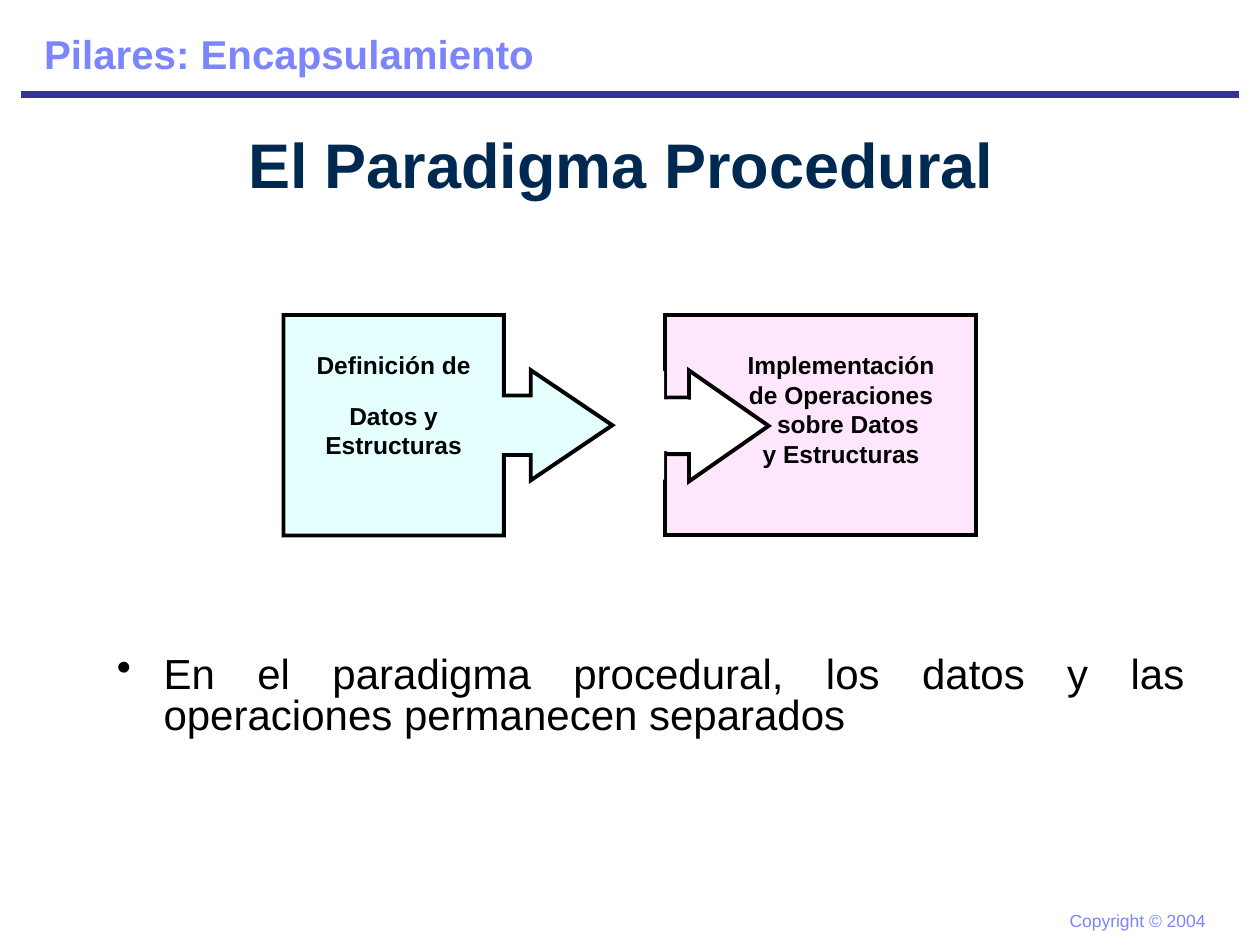
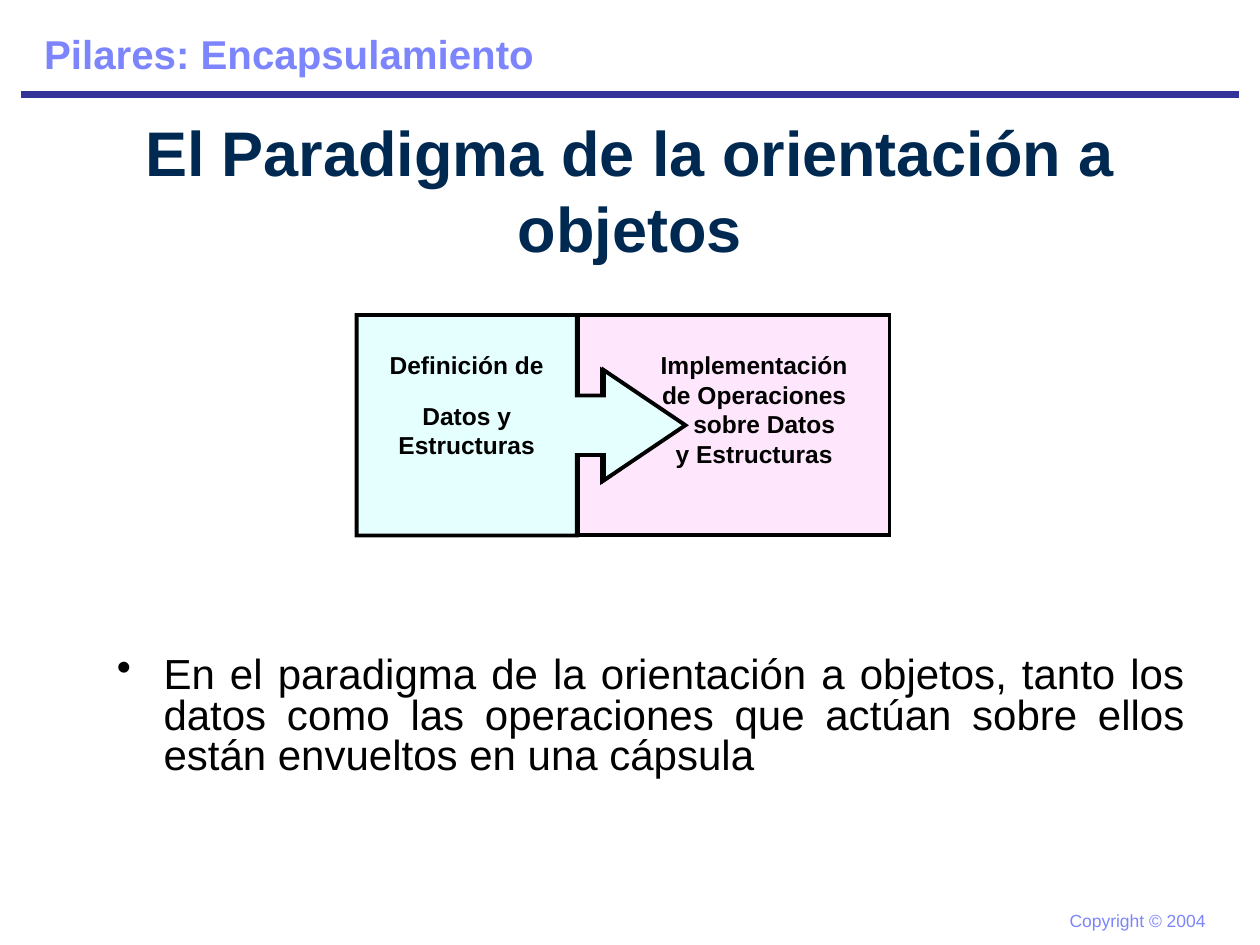
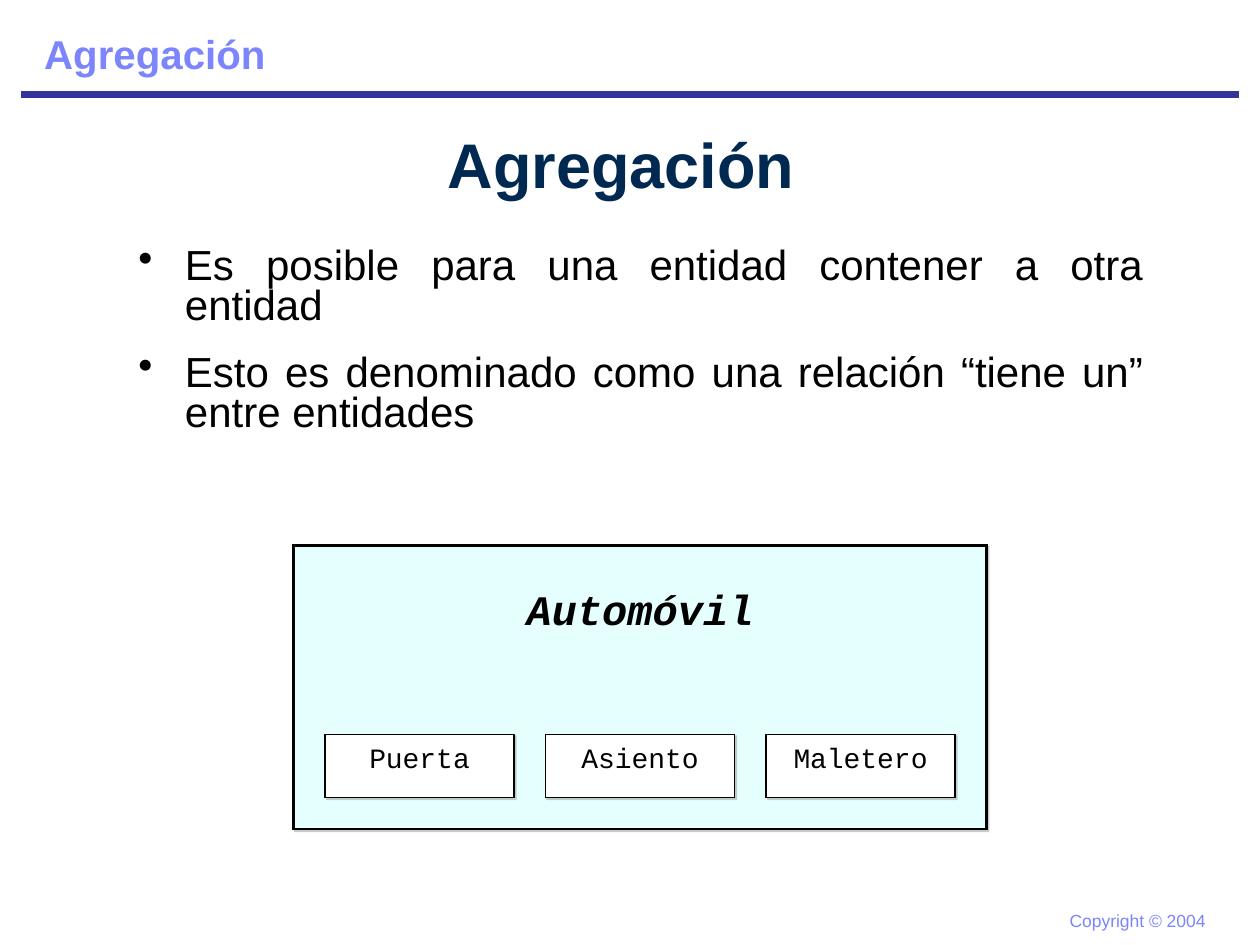
"""Build three slides about encapsulation and aggregation."""
from dataclasses import dataclass

from lxml.etree import SubElement
from pptx import Presentation
from pptx.dml.color import RGBColor
from pptx.enum.shapes import MSO_CONNECTOR, MSO_SHAPE
from pptx.enum.text import MSO_ANCHOR, MSO_AUTO_SIZE, PP_ALIGN
from pptx.oxml.ns import qn
from pptx.presentation import Presentation as Deck
from pptx.shapes.autoshape import Shape
from pptx.slide import Slide
from pptx.util import Inches, Pt

PERIWINKLE = RGBColor(0x7C, 0x85, 0xFC)
INDIGO = RGBColor(0x33, 0x33, 0x99)
NAVY = RGBColor(0x00, 0x29, 0x52)
BLACK = RGBColor(0x00, 0x00, 0x00)
WHITE = RGBColor(0xFF, 0xFF, 0xFF)
CYAN = RGBColor(0xE5, 0xFF, 0xFF)
PINK = RGBColor(0xFE, 0xE6, 0xFD)
SHADOW_GRAY = "969696"
TITLE_ONLY = 5


@dataclass(frozen=True)
class Box:
    """Position and size in inches."""
    left: float
    top: float
    width: float
    height: float


@dataclass(frozen=True)
class TextStyle:
    """Font settings and alignment of a text."""
    size: float
    color: RGBColor = BLACK
    name: str = "Arial"
    bold: bool = False
    italic: bool = False
    alignment: PP_ALIGN = PP_ALIGN.CENTER


@dataclass(frozen=True)
class Look:
    """Geometry, fill and outline of a shape."""
    kind: MSO_SHAPE
    fill: RGBColor
    line_width: float = 2.25
    adjustments: tuple[float, ...] = ()
    rotation: float = 0


@dataclass(frozen=True)
class Paradigm:
    """Content and placement of one paradigm slide."""
    heading: str
    heading_height: float
    heading_right_inset: float
    data_left: float
    operations_left: float
    socket_line: float
    third_line_indent: float
    statement: str


TITLE_STYLE = TextStyle(23, PERIWINKLE, bold=True, alignment=PP_ALIGN.LEFT)
HEADING_STYLE = TextStyle(36, NAVY, bold=True)
FOOTER_STYLE = TextStyle(10, PERIWINKLE, alignment=PP_ALIGN.LEFT)
BULLET_STYLE = TextStyle(24, alignment=PP_ALIGN.JUSTIFY)
LABEL_STYLE = TextStyle(14, bold=True)
WHOLE_STYLE = TextStyle(24, name="Courier New", bold=True, italic=True)
PART_STYLE = TextStyle(16, name="Courier New")

PARADIGMS = (
    Paradigm("El Paradigma Procedural", 0.75, 0.24, 2.25, 5.28, 0, 0.11,
             "En el paradigma procedural, los datos y las operaciones permanecen separados"),
    Paradigm("El Paradigma de la orientación a objetos", 1.17, 0.1, 2.83, 4.59, 2.25, 0.16,
             "En el paradigma de la orientación a objetos, tanto los datos como las operaciones "
             "que actúan sobre ellos están envueltos en una cápsula"),
)


def place(box: Box) -> tuple[Inches, Inches, Inches, Inches]:
    """Convert a box to lengths."""
    return Inches(box.left), Inches(box.top), Inches(box.width), Inches(box.height)


def write(shape: Shape, lines: list[str], style: TextStyle,
          anchor: MSO_ANCHOR = MSO_ANCHOR.TOP) -> None:
    """Fill a shape with formatted paragraphs."""
    frame = shape.text_frame
    frame.text = "\n".join(lines)
    frame.word_wrap = True
    frame.auto_size = MSO_AUTO_SIZE.NONE
    frame.vertical_anchor = anchor
    for paragraph in frame.paragraphs:
        paragraph.alignment = style.alignment
        for run in paragraph.runs:
            run.font.name = style.name
            run.font.size = Pt(style.size)
            run.font.bold = style.bold
            run.font.italic = style.italic
            run.font.color.rgb = style.color


def add_text(slide: Slide, box: Box, lines: list[str], style: TextStyle,
             anchor: MSO_ANCHOR = MSO_ANCHOR.TOP) -> Shape:
    """Add a text box."""
    shape = slide.shapes.add_textbox(*place(box))
    write(shape, lines, style, anchor)
    return shape


def add_bullets(slide: Slide, box: Box, lines: list[str]) -> None:
    """Add a justified bulleted list."""
    shape = add_text(slide, box, lines, BULLET_STYLE)
    for index, paragraph in enumerate(shape.text_frame.paragraphs):
        properties = paragraph._p.get_or_add_pPr()
        properties.set("marL", str(Inches(0.37)))
        properties.set("indent", str(Inches(-0.37)))
        color = SubElement(properties, qn("a:buClr"))
        SubElement(color, qn("a:srgbClr"), val=str(BLACK))
        SubElement(properties, qn("a:buChar"), char="•")
        paragraph.line_spacing = 0.8
        if index:
            paragraph.space_before = Pt(15)


def add_figure(slide: Slide, box: Box, look: Look) -> Shape:
    """Add a filled preset shape with a sharp black outline."""
    shape = slide.shapes.add_shape(look.kind, *place(box))
    shape.shadow.inherit = False
    shape.rotation = look.rotation
    for index, value in enumerate(look.adjustments):
        shape.adjustments[index] = value
    shape.fill.solid()
    shape.fill.fore_color.rgb = look.fill
    if look.line_width:
        shape.line.color.rgb = BLACK
        shape.line.width = Pt(look.line_width)
        outline = shape._element.spPr.find(qn("a:ln"))
        SubElement(outline, qn("a:miter"), lim="800000")
    else:
        shape.line.fill.background()
    return shape


def add_shadow(shape: Shape) -> None:
    """Cast a small translucent shadow to the lower right."""
    effects = shape._element.spPr.find(qn("a:effectLst"))
    shadow = SubElement(effects, qn("a:outerShdw"), blurRad="0", dist=str(Pt(1.4)),
                        dir="2700000", algn="ctr")
    color = SubElement(shadow, qn("a:srgbClr"), val=SHADOW_GRAY)
    SubElement(color, qn("a:alpha"), val="50000")


def add_base_slide(presentation: Deck, title: str) -> Slide:
    """Add a slide with its title, rule and copyright line."""
    slide = presentation.slides.add_slide(presentation.slide_layouts[TITLE_ONLY])
    placeholder = slide.shapes.title
    placeholder.left, placeholder.top, placeholder.width, placeholder.height = place(
        Box(0.25, 0.17, 9.5, 0.5))
    write(placeholder, [title], TITLE_STYLE, MSO_ANCHOR.MIDDLE)
    rule = slide.shapes.add_connector(
        MSO_CONNECTOR.STRAIGHT, Inches(0.17), Inches(0.75), Inches(9.83), Inches(0.75))
    rule.line.color.rgb = INDIGO
    rule.line.width = Pt(4.5)
    SubElement(rule._element.spPr, qn("a:effectLst"))
    footer = add_text(slide, Box(8.39, 7.17, 1.28, 0.27), ["Copyright © 2004"], FOOTER_STYLE)
    footer.text_frame.word_wrap = False
    return slide


def add_heading(slide: Slide, text: str, height: float, right_inset: float) -> None:
    """Add the large centred heading below the rule."""
    heading = add_text(slide, Box(0.75, 0.92, 8.5, height), [text], HEADING_STYLE,
                       MSO_ANCHOR.MIDDLE)
    heading.text_frame.margin_right = Inches(right_inset)


def add_paradigm_slide(presentation: Deck, paradigm: Paradigm) -> None:
    """Show how data and operations relate in one paradigm."""
    slide = add_base_slide(presentation, "Pilares: Encapsulamiento")
    add_heading(slide, paradigm.heading, paradigm.heading_height, paradigm.heading_right_inset)

    left = paradigm.operations_left
    operations = add_figure(slide, Box(left, 2.5, 2.47, 1.75), Look(MSO_SHAPE.RECTANGLE, PINK))
    write(operations, ["Implementación", "de Operaciones", "sobre Datos", "y Estructuras"],
          LABEL_STYLE)
    operations.text_frame.margin_left = Inches(0.42)
    third_line = operations.text_frame.paragraphs[2]
    third_line._p.get_or_add_pPr().set("marL", str(Inches(paradigm.third_line_indent)))

    add_figure(slide, Box(left, 2.94, 0.82, 0.88),
               Look(MSO_SHAPE.RIGHT_ARROW, WHITE, adjustments=(0.51, 0.77)))
    add_figure(slide, Box(left - 0.64, 2.94, 0.82, 0.87),
               Look(MSO_SHAPE.RIGHT_ARROW, WHITE, paradigm.socket_line, (0.47, 0.77), 180))

    data = add_figure(slide, Box(paradigm.data_left, 2.5, 2.61, 1.75),
                      Look(MSO_SHAPE.RIGHT_ARROW_CALLOUT, CYAN,
                           adjustments=(0.27, 0.25, 0.37, 0.67)))
    write(data, ["Definición de", "Datos y Estructuras"], LABEL_STYLE)
    data.text_frame.paragraphs[0].space_after = Pt(12)
    for shape in (operations, data):
        shape.text_frame.margin_top = Inches(0.28)

    add_bullets(slide, Box(0.83, 5.17, 8.67, 1.67), [paradigm.statement])


def add_aggregation_slide(presentation: Deck) -> None:
    """Show a car that contains its parts."""
    slide = add_base_slide(presentation, "Agregación")
    add_heading(slide, "Agregación", 0.75, 0.24)
    add_bullets(slide, Box(1, 1.92, 8.17, 1.75), [
        "Es posible para una entidad contener a otra entidad",
        "Esto es denominado como una relación “tiene un” entre entidades",
    ])
    car = add_figure(slide, Box(2.33, 4.33, 5.5, 2.25), Look(MSO_SHAPE.RECTANGLE, CYAN, 1.5))
    write(car, ["Automóvil"], WHOLE_STYLE)
    car.text_frame.margin_top = Inches(0.3)
    add_shadow(car)
    for index, name in enumerate(("Puerta", "Asiento", "Maletero")):
        part = add_figure(slide, Box(2.58 + 1.75 * index, 5.83, 1.5, 0.5),
                          Look(MSO_SHAPE.RECTANGLE, WHITE, 1))
        write(part, [name], PART_STYLE)
        add_shadow(part)


def main() -> None:
    """Build and save the presentation."""
    presentation = Presentation()
    presentation.slide_width = Inches(10)
    presentation.slide_height = Inches(7.5)
    for paradigm in PARADIGMS:
        add_paradigm_slide(presentation, paradigm)
    add_aggregation_slide(presentation)
    presentation.save("out.pptx")


if __name__ == "__main__":
    main()
